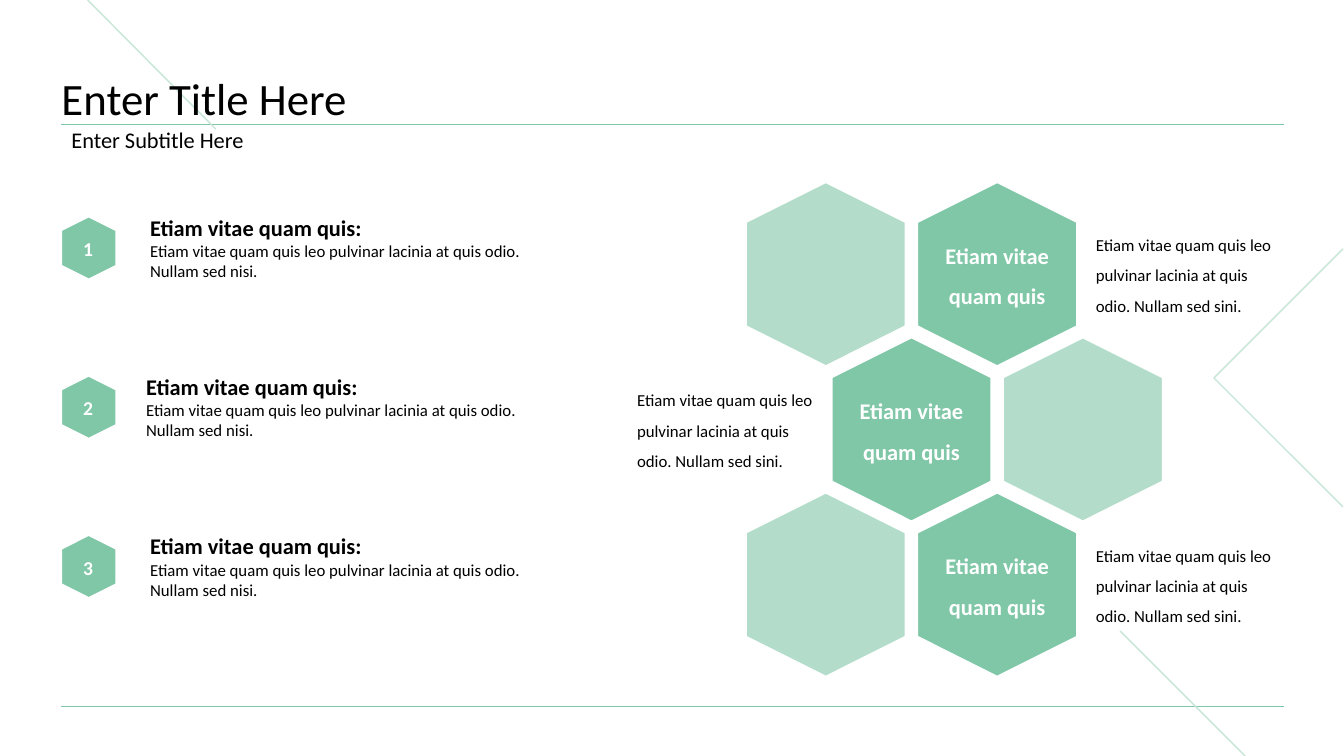
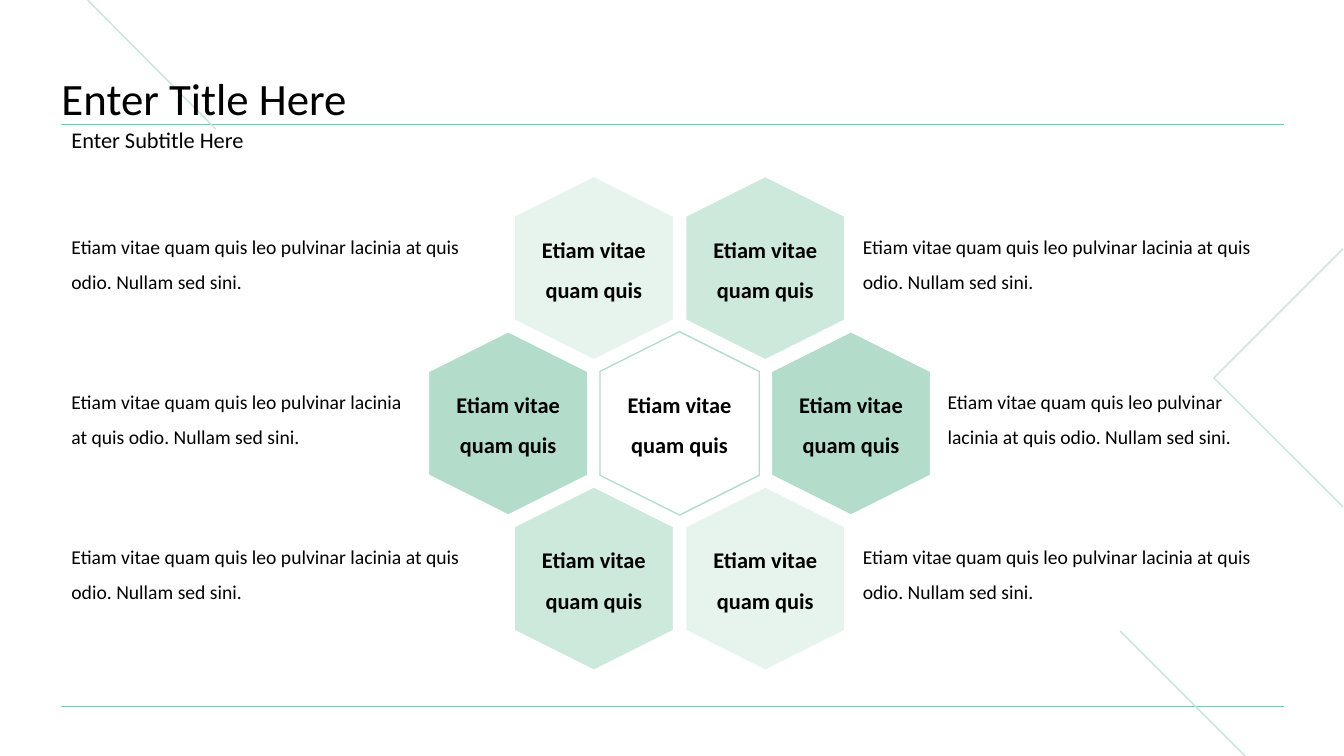
from pptx import Presentation
from pptx.dml.color import RGBColor
from pptx.enum.shapes import MSO_CONNECTOR, MSO_SHAPE
from pptx.enum.text import MSO_ANCHOR as Anchor, PP_ALIGN as Align
from pptx.oxml.ns import qn
from pptx.util import Inches, Pt
from lxml.etree import SubElement

FONT = "Calibri"
BLACK = RGBColor(0x00, 0x00, 0x00)
WHITE = RGBColor(0xFF, 0xFF, 0xFF)
GREEN = RGBColor(0x80, 0xC7, 0xA7)
MINT = RGBColor(0xB3, 0xDD, 0xCA)
LINE = RGBColor(0xC6, 0xE6, 0xD7)
PALE = RGBColor(0xCC, 0xE9, 0xDC)
FAINT = RGBColor(0xE6, 0xF4, 0xED)

TITLE = "Enter Title Here"
SUBTITLE = "Enter Subtitle Here"
LABEL = "Etiam vitae quam quis"
NOTE = "Etiam vitae quam quis leo pulvinar lacinia at quis odio. Nullam sed sini."
HEAD = "Etiam vitae quam quis:"
BODY = "Etiam vitae quam quis leo pulvinar lacinia at quis odio. Nullam sed nisi."

LEFT, WIDE = 0.61, 12.12
HEX_LONG, HEX_SHORT = 1.82, 1.58
HALF, ROW = 0.85, 1.54  # half a column and one row of the honeycomb

# Rules: from x, y to x, y, colour, points
RULES = [
    (LEFT, 7.01, LEFT + WIDE, 7.01, GREEN, 0.5),
    (LEFT, 1.23, LEFT + WIDE, 1.23, GREEN, 0.5),
    (11.11, 6.26, 12.35, 7.5, LINE, 1),
    (0.87, 0, 2.14, 1.28, LINE, 1),
]
CHEVRON = [(13.32, 2.47), (12.04, 3.75), (13.32, 5.03)]

# Cells: half columns from the origin, row, fill, edge, label colour or None
COMB_1 = [
    (0, 0, MINT, WHITE, None), (2, 0, GREEN, WHITE, WHITE),
    (1, 1, GREEN, WHITE, WHITE), (3, 1, MINT, WHITE, None),
    (0, 2, MINT, WHITE, None), (2, 2, GREEN, WHITE, WHITE),
]
COMB_2 = [
    (-1, 0, FAINT, WHITE, BLACK), (1, 0, PALE, WHITE, BLACK),
    (-2, 1, MINT, WHITE, BLACK), (0, 1, WHITE, MINT, BLACK),
    (2, 1, MINT, WHITE, BLACK),
    (-1, 2, PALE, WHITE, BLACK), (1, 2, FAINT, WHITE, BLACK),
]
# Notes: left, row, width
NOTES_1 = [(10.77, 0, 1.96), (6.22, 1, 1.96), (10.77, 2, 1.96)]
NOTES_2 = [
    (LEFT, 0, 4.41), (8.46, 0, 4.27),
    (LEFT, 1, 3.56), (9.3, 1, 3.43),
    (LEFT, 2, 4.41), (8.46, 2, 4.27),
]
# Numbered list: number, text left
ITEMS = [("1", 1.39), ("2", 1.35), ("3", 1.39)]


def add_text(slide, box, paras, color=BLACK, align=Align.LEFT,
             anchor=Anchor.TOP, spacing=1.0, insets=(0.1, 0.05, 0.1, 0.05)):
    """Add a text box; paras holds (text, size, bold) tuples."""
    frame = slide.shapes.add_textbox(*map(Inches, box)).text_frame
    frame.word_wrap = True
    frame.vertical_anchor = anchor
    (frame.margin_left, frame.margin_top,
     frame.margin_right, frame.margin_bottom) = map(Inches, insets)
    frame.text = "\n".join(text for text, _, _ in paras)
    for para, (_, size, bold) in zip(frame.paragraphs, paras):
        para.alignment = align
        para.line_spacing = spacing
        font = para.runs[0].font
        font.name, font.size, font.bold = FONT, Pt(size), bold
        font.color.rgb = color


def add_hexagon(slide, x, y, long, short, fill, edge=WHITE):
    """Add a hexagon standing on its point, centred on x, y."""
    box = (x - long / 2, y - short / 2, long, short)
    shape = slide.shapes.add_shape(MSO_SHAPE.HEXAGON, *map(Inches, box))
    shape.rotation = 90
    shape.shadow.inherit = False
    shape.fill.solid()
    shape.fill.fore_color.rgb = fill
    shape.line.color.rgb = edge
    shape.line.width = Pt(1)


def add_frame(slide):
    """Add the rules, chevron, title and subtitle that all slides share."""
    for x1, y1, x2, y2, color, width in RULES:
        rule = slide.shapes.add_connector(
            MSO_CONNECTOR.STRAIGHT, *map(Inches, (x1, y1, x2, y2)))
        rule.line.color.rgb = color
        rule.line.width = Pt(width)
        SubElement(rule._element.spPr, qn("a:effectLst"))
    start, *rest = [(Inches(x), Inches(y)) for x, y in CHEVRON]
    path = slide.shapes.build_freeform(*start)
    path.add_line_segments(rest, close=False)
    chevron = path.convert_to_shape()
    chevron.shadow.inherit = False
    chevron.fill.background()
    chevron.line.color.rgb = LINE
    chevron.line.width = Pt(1)
    add_text(slide, (LEFT, 0.44, WIDE, 0.8), [(TITLE, 32, False)],
             anchor=Anchor.BOTTOM, spacing=0.9, insets=(0, 0, 0, 0))
    add_text(slide, (LEFT, 1.23, WIDE, 0.34), [(SUBTITLE, 16, False)],
             anchor=Anchor.MIDDLE, spacing=0.9)


def add_comb(slide, left, top, cells):
    """Add the honeycomb; left, top is the centre of cell 0, 0."""
    for col, row, fill, edge, color in cells:
        x, y = left + col * HALF, top + row * ROW
        add_hexagon(slide, x, y, HEX_LONG, HEX_SHORT, fill, edge)
        if color is not None:
            add_text(slide, (x - HEX_SHORT / 2, y - 0.5, HEX_SHORT, 1.01),
                     [(LABEL, 16, True)], color, Align.CENTER, spacing=1.5)


def add_notes(slide, top, notes, size):
    for left, row, width in notes:
        add_text(slide, (left, top + row * ROW, width, 1.01),
                 [(NOTE, size, False)], spacing=1.5)


def add_list(slide):
    for i, (number, left) in enumerate(ITEMS):
        x, y = 0.88, 2.46 + i * 1.58
        add_hexagon(slide, x, y, 0.62, 0.54, GREEN)
        add_text(slide, (x - 0.13, y - 0.12, 0.25, 0.24), [(number, 14, True)],
                 WHITE, Align.CENTER, Anchor.MIDDLE, 1.5, (0, 0, 0, 0.1))
        add_text(slide, (left, y - 0.43, 3.99, 0.85),
                 [(HEAD, 16, True), (BODY, 12, False)], anchor=Anchor.MIDDLE)


def main():
    deck = Presentation()
    deck.slide_width, deck.slide_height = Inches(13.33), Inches(7.5)
    blank = deck.slide_layouts[6]

    slide = deck.slides.add_slide(blank)
    add_frame(slide)
    add_comb(slide, 8.19, 2.72, COMB_1)
    add_notes(slide, 2.18, NOTES_1, 12)
    add_list(slide)

    slide = deck.slides.add_slide(blank)
    add_frame(slide)
    add_comb(slide, 6.74, 2.66, COMB_2)
    add_notes(slide, 2.16, NOTES_2, 14)

    deck.save("out.pptx")


if __name__ == "__main__":
    main()
